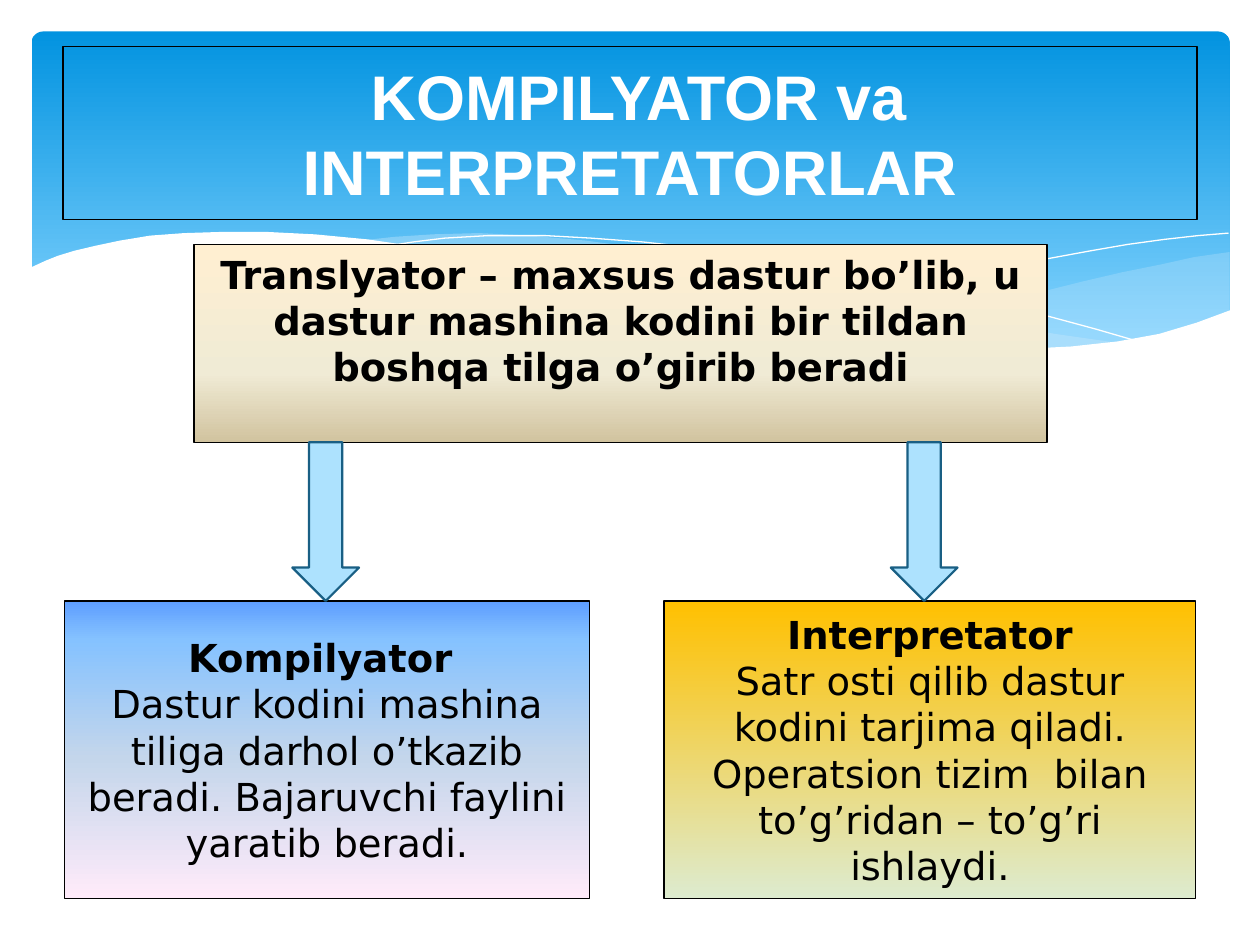
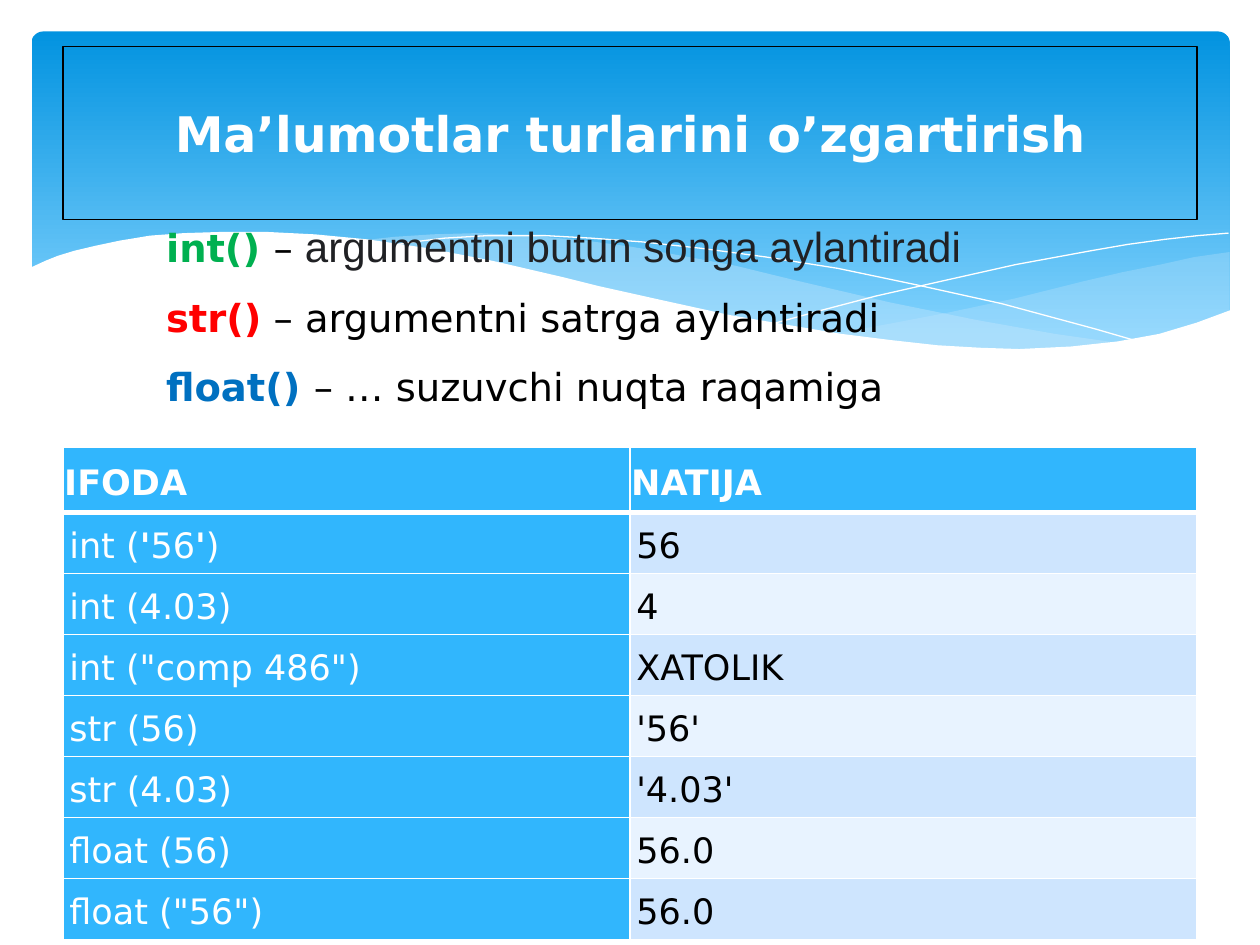
from dataclasses import dataclass
from typing import Any, NamedTuple, Optional

from lxml.etree import SubElement
from pptx import Presentation
from pptx.dml.color import RGBColor
from pptx.enum.shapes import MSO_SHAPE
from pptx.enum.text import MSO_ANCHOR, MSO_AUTO_SIZE, PP_ALIGN
from pptx.oxml.ns import qn
from pptx.util import Inches, Pt

GRID_COLUMNS = 1000
SLIDE_WIDTH = Inches(10)
SLIDE_HEIGHT = Inches(7.5)
CELL = SLIDE_WIDTH // GRID_COLUMNS


@dataclass(frozen=True)
class Theme:
    body_font: str = "DejaVu Sans"
    accent_font: str = "Arial"
    title_size: float = 28
    large_title_size: float = 36
    body_size: float = 22
    accent_size: float = 24
    table_size: float = 20
    white: str = "FFFFFF"
    black: str = "000000"
    charcoal: str = "202124"
    green: str = "00B050"
    red: str = "FF0000"
    blue: str = "0070C0"
    wave: str = "C6E7FC"
    arrow_fill: str = "ADE2FE"
    arrow_line: str = "195F84"
    table_key: str = "31B6FD"
    table_bands: tuple = ("CEE5FE", "E8F3FF")
    band_gradient: tuple = ((0, "0293E0"), (90, "83D3FE"))
    sand_gradient: tuple = ((0, "FFEFD1"), (65, "F0EBD5"), (100, "D1C39F"))
    sky_gradient: tuple = ((0, "5E9EFF"), (13, "85C2FF"), (53, "C4D6EB"), (100, "FFEBFA"))
    gold_gradient: tuple = ((0, "FFC000"), (100, "DDEBCF"))


THEME = Theme()


class Box(NamedTuple):
    column: int
    row: int
    columns: int
    rows: int

    def lengths(self) -> list[int]:
        return [CELL * value for value in self]


class Run(NamedTuple):
    text: str
    color: str = THEME.black
    bold: bool = False
    size: float = THEME.body_size
    font: str = THEME.body_font


class Line(NamedTuple):
    runs: tuple[Run, ...]
    spacing: Optional[float] = None
    alignment: PP_ALIGN = PP_ALIGN.LEFT


class Wave(NamedTuple):
    points: tuple[tuple[int, int], ...]
    fill: Optional[str] = None
    opacity: int = 100


class Panel(NamedTuple):
    box: Box
    gradient: tuple
    lines: tuple[Line, ...]
    anchor: MSO_ANCHOR = MSO_ANCHOR.MIDDLE


WAVES = (
    Wave(((976, 200), (948, 204), (921, 210), (891, 216), (861, 223), (805, 237),
          (753, 248), (706, 257), (661, 265), (691, 269), (719, 272), (745, 275),
          (781, 277), (814, 278), (854, 276), (889, 273), (921, 265), (949, 257),
          (976, 247)), THEME.wave, 29),
    Wave(((893, 273), (837, 265), (775, 254), (706, 240), (629, 222), (584, 211),
          (541, 203), (502, 196), (465, 191), (420, 187), (380, 185), (344, 186),
          (313, 188), (286, 191), (323, 196), (362, 203), (404, 211), (449, 222),
          (530, 240), (601, 255), (650, 264), (695, 270), (736, 275), (773, 277),
          (807, 278), (838, 278), (867, 276)), THEME.wave, 40),
    Wave(((309, 195), (328, 192), (353, 189), (387, 187), (433, 187), (469, 189),
          (510, 192), (556, 197), (608, 204), (665, 213), (727, 226), (795, 241),
          (869, 261), (907, 272))),
    Wave(((613, 257), (653, 246), (695, 235), (748, 223), (806, 210), (866, 199),
          (895, 194), (924, 190), (951, 187), (975, 185))),
    Wave(((977, 246), (950, 256), (920, 265), (887, 271), (850, 275), (809, 277),
          (778, 276), (744, 274), (708, 270), (668, 265), (626, 258), (579, 250),
          (529, 239), (475, 227), (447, 220), (391, 207), (340, 197), (292, 190),
          (250, 186), (211, 184), (177, 184), (146, 185), (119, 187), (95, 191),
          (76, 195), (59, 199), (46, 203), (36, 207), (23, 213), (23, 329),
          (977, 329)), THEME.white),
)


def centered(*runs: Run) -> Line:
    return Line(runs, alignment=PP_ALIGN.CENTER)


PANELS = (
    Panel(Box(154, 194, 677, 157), THEME.sand_gradient,
          (centered(Run("Translyator – maxsus dastur bo’lib, u dastur mashina kodini "
                        "bir tildan boshqa tilga o’girib beradi", bold=True)),),
          MSO_ANCHOR.TOP),
    Panel(Box(51, 477, 417, 236), THEME.sky_gradient,
          (centered(Run("Kompilyator ", bold=True)),
           centered(Run("Dastur kodini mashina tiliga darhol o’tkazib beradi. "
                        "Bajaruvchi faylini yaratib beradi.")))),
    Panel(Box(527, 477, 422, 236), THEME.gold_gradient,
          (centered(Run("Interpretator", bold=True)),
           centered(Run("Satr osti qilib dastur kodini tarjima qiladi. Operatsion tizim  "
                        "bilan to’g’ridan – to’g’ri ishlaydi.")))),
)
ARROWS = tuple(Box(column, 351, 53, 126) for column in (232, 707))

CONVERSIONS = (
    Line((Run("int() ", THEME.green, True), Run("– "),
          Run("argumentni butun songa aylantiradi", THEME.charcoal,
              size=THEME.accent_size, font=THEME.accent_font))),
    Line((Run("str()", THEME.red, True), Run(" – argumentni satrga aylantiradi")), 1.5),
    Line((Run("float() ", THEME.blue, True), Run("– … suzuvchi nuqta raqamiga")), 1.5),
)
TABLE_ROWS = (
    ("IFODA", "NATIJA"),
    ("int ('56')", "56"),
    ("int (4.03)", "4"),
    ('int ("comp 486")', "XATOLIK"),
    ("str (56)", "'56'"),
    ("str (4.03)", "'4.03'"),
    ("float (56)", "56.0"),
    ('float ("56")', "56.0"),
)


def apply_format(target: Any, values: dict[str, Any]) -> None:
    for name, value in values.items():
        setattr(target, name, value)


def paint(fill: Any, color: str) -> None:
    fill.solid()
    fill.fore_color.rgb = RGBColor.from_string(color)


def paint_gradient(shape: Any, stops: tuple) -> None:
    shape.fill.gradient()
    shape.fill.gradient_angle = 270
    stop_list = shape._element.spPr.find(".//" + qn("a:gsLst"))
    for stop in list(stop_list):
        stop_list.remove(stop)
    for position, color in stops:
        stop = SubElement(stop_list, qn("a:gs"), pos=str(position * 1000))
        SubElement(stop, qn("a:srgbClr"), val=color)


def outline(shape: Any, color: str, width: float) -> None:
    paint(shape.line.fill, color)
    shape.line.width = Pt(width)


def write_lines(frame: Any, lines: tuple[Line, ...]) -> None:
    for index, line in enumerate(lines):
        paragraph = frame.paragraphs[0] if index == 0 else frame.add_paragraph()
        apply_format(paragraph, {"alignment": line.alignment, "line_spacing": line.spacing})
        for item in line.runs:
            run = paragraph.add_run()
            run.text = item.text
            apply_format(run.font, {"name": item.font, "size": Pt(item.size), "bold": item.bold})
            run.font.color.rgb = RGBColor.from_string(item.color)


def add_box(slide: Any, kind: MSO_SHAPE, box: Box) -> Any:
    shape = slide.shapes.add_shape(kind, *box.lengths())
    shape.shadow.inherit = False
    return shape


def add_wave(slide: Any, wave: Wave) -> None:
    builder = slide.shapes.build_freeform(*wave.points[0], scale=CELL)
    builder.add_line_segments(wave.points[1:], close=wave.fill is not None)
    shape = builder.convert_to_shape()
    shape.shadow.inherit = False
    if wave.fill is None:
        shape.fill.background()
        outline(shape, THEME.white, 0)
        return
    shape.line.fill.background()
    paint(shape.fill, wave.fill)
    if wave.opacity < 100:
        color = shape._element.spPr.find(qn("a:solidFill")).find(qn("a:srgbClr"))
        SubElement(color, qn("a:alpha"), val=str(wave.opacity * 1000))


def add_framed_text(slide: Any, box: Box, lines: tuple[Line, ...], anchor: MSO_ANCHOR) -> Any:
    shape = add_box(slide, MSO_SHAPE.RECTANGLE, box)
    shape.fill.background()
    outline(shape, THEME.black, 0.75)
    apply_format(shape.text_frame, {"word_wrap": True, "vertical_anchor": anchor})
    write_lines(shape.text_frame, lines)
    return shape


def add_titled_slide(presentation: Any, *title: Run) -> Any:
    slide = presentation.slides.add_slide(presentation.slide_layouts[6])
    band = add_box(slide, MSO_SHAPE.ROUNDED_RECTANGLE, Box(25, 25, 951, 270))
    band.adjustments[0] = 0.034
    band.line.fill.background()
    paint_gradient(band, THEME.band_gradient)
    for wave in WAVES:
        add_wave(slide, wave)
    add_framed_text(slide, Box(50, 37, 900, 137), (centered(*title),), MSO_ANCHOR.MIDDLE)
    return slide


def add_arrow(slide: Any, box: Box) -> None:
    arrow = add_box(slide, MSO_SHAPE.DOWN_ARROW, box)
    paint(arrow.fill, THEME.arrow_fill)
    outline(arrow, THEME.arrow_line, 1.25)


def set_borders(cell: Any, top: float, bottom: float) -> None:
    properties = cell._tc.get_or_add_tcPr()
    for side, width in (("L", 1), ("R", 1), ("T", top), ("B", bottom)):
        border = SubElement(properties, qn(f"a:ln{side}"), w=str(Pt(width)))
        fill = SubElement(border, qn("a:solidFill"))
        SubElement(fill, qn("a:srgbClr"), val=THEME.white)


def key_runs(text: str, header: bool) -> tuple[Run, ...]:
    pieces = text.replace("'", "\n'\n").split("\n")
    return tuple(Run(piece, THEME.white, header or piece == "'", THEME.table_size)
                 for piece in pieces)


def add_conversion_table(slide: Any, box: Box) -> None:
    frame = slide.shapes.add_table(len(TABLE_ROWS), 2, *box.lengths())
    for row_index, texts in enumerate(TABLE_ROWS):
        header = row_index == 0
        frame.table.rows[row_index].height = CELL * (52 if header else 33)
        margin = Inches(0.01 if header else 0.05)
        for column_index, text in enumerate(texts):
            cell = frame.table.cell(row_index, column_index)
            is_key = header or column_index == 0
            set_borders(cell, 3 if row_index == 1 else 1, 3 if header else 1)
            paint(cell.fill, THEME.table_key if is_key else THEME.table_bands[(row_index - 1) % 2])
            apply_format(cell, {f"margin_{side}": margin
                                for side in ("left", "right", "top", "bottom")})
            cell.vertical_anchor = MSO_ANCHOR.MIDDLE
            runs = key_runs(text, header) if is_key else (Run(text, size=THEME.table_size),)
            write_lines(cell.text_frame, (Line(runs, 1.15),))
    frame.height = CELL * box.rows


def build_translator_slide(presentation: Any) -> None:
    slide = add_titled_slide(
        presentation,
        Run(" ", THEME.white, True, THEME.title_size),
        Run("KOMPILYATOR va INTERPRETATORLAR", THEME.white, True,
            THEME.large_title_size, THEME.accent_font))
    for panel in PANELS:
        shape = add_framed_text(slide, panel.box, panel.lines, panel.anchor)
        paint_gradient(shape, panel.gradient)
    for arrow in ARROWS:
        add_arrow(slide, arrow)


def build_conversion_slide(presentation: Any) -> None:
    slide = add_titled_slide(
        presentation,
        Run("Ma’lumotlar turlarini o’zgartirish", THEME.white, True, THEME.title_size))
    text_box = slide.shapes.add_textbox(*Box(122, 170, 732, 154).lengths())
    apply_format(text_box.text_frame,
                 {"word_wrap": True, "auto_size": MSO_AUTO_SIZE.SHAPE_TO_FIT_TEXT})
    write_lines(text_box.text_frame, CONVERSIONS)
    add_conversion_table(slide, Box(50, 355, 900, 366))


def main() -> None:
    presentation = Presentation()
    apply_format(presentation, {"slide_width": SLIDE_WIDTH, "slide_height": SLIDE_HEIGHT})
    build_translator_slide(presentation)
    build_conversion_slide(presentation)
    presentation.save("out.pptx")


if __name__ == "__main__":
    main()
